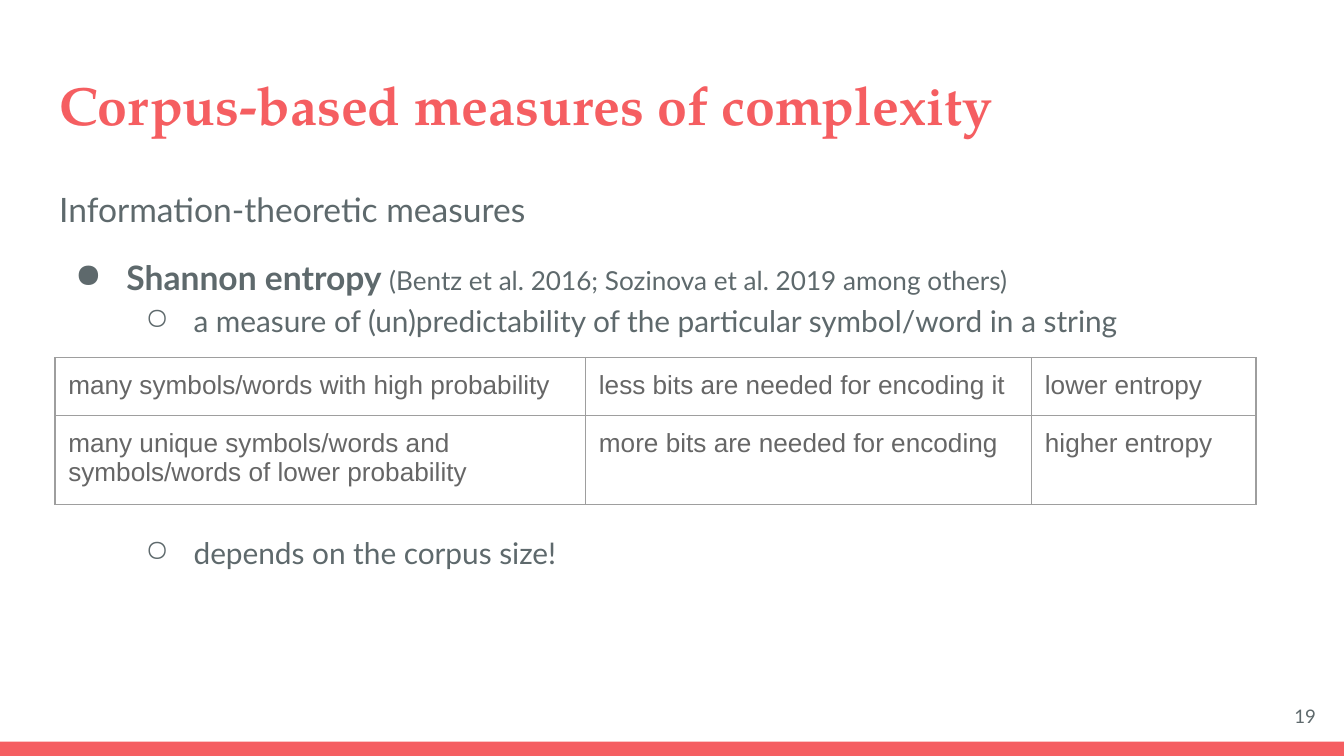
import pptx
import pptx.util
import pptx.dml.color
import pptx.enum.shapes
import pptx.enum.text
import pptx.oxml
import pptx.oxml.ns
from lxml import etree
from pptx.util import Cm, Pt

COLORS = {"accent": "F55E61", "text": "5E696C", "cell": "666666", "border": "9E9E9E"}
INSET = Cm(0.25)
ANCHOR = pptx.enum.text.MSO_ANCHOR

ROWS = [
    ("many symbols/words with high probability", "less bits are needed for encoding it", "lower entropy"),
    ("many unique symbols/words and symbols/words of lower probability",
     "more bits are needed for encoding", "higher entropy"),
]
COLUMN_SHARES = (3.95, 3.32, 1.67)
ROW_SHARES = (0.42, 0.63)


def rgb(name):
    return pptx.dml.color.RGBColor.from_string(COLORS[name])


def add_node(parent, tag, **attributes):
    return etree.SubElement(parent, pptx.oxml.ns.qn(tag), **attributes)


def add_span(para, text, size, font, color, bold=False):
    span = para.add_run()
    span.text = text
    span.font.size = Pt(size)
    span.font.name = font
    span.font.bold = bold
    span.font.color.rgb = rgb(color)


def add_frame(page, box, anchor):
    frame = page.shapes.add_textbox(*box).text_frame
    frame.word_wrap = True
    frame.vertical_anchor = anchor
    frame.margin_left = frame.margin_right = INSET
    frame.margin_top = frame.margin_bottom = INSET
    return frame


def set_bullet(para, symbol, margin, hanging):
    properties = para._p.get_or_add_pPr()
    properties.set("marL", str(margin))
    properties.set("indent", str(-hanging))
    color = add_node(properties, "a:buClr")
    add_node(color, "a:srgbClr", val=COLORS["text"])
    add_node(properties, "a:buChar", char=symbol)


def add_title(page, box):
    para = add_frame(page, box, ANCHOR.MIDDLE).paragraphs[0]
    add_span(para, "Corpus-based measures of complexity", 28.8, "TeX Gyre Pagella", "accent", True)


def add_body(page, box):
    frame = add_frame(page, box, ANCHOR.TOP)
    topic = ("●", Cm(1.27), Cm(0.97))
    detail = ("○", Cm(2.54), Cm(0.91))
    items = [
        (None, 0, [("Information-theoretic measures", 18, False)]),
        (topic, 12, [("Shannon entropy ", 18, True),
                     ("(Bentz et al. 2016; Sozinova et al. 2019 among others)", 14, False)]),
        (detail, 0, [("a measure of (un)predictability of the particular symbol/word in a string", 16, False)]),
        (detail, 102, [("depends on the corpus size!", 16, False)]),
    ]
    for index, (bullet, gap, spans) in enumerate(items):
        para = frame.add_paragraph() if index else frame.paragraphs[0]
        para.line_spacing = 1.15
        para.space_before = Pt(gap)
        if bullet:
            para.level = 1 if bullet is detail else 0
            set_bullet(para, *bullet)
        for text, size, bold in spans:
            add_span(para, text, size, "Lato", "text", bold)


def style_cell(cell, text):
    cell.margin_left = cell.margin_right = INSET
    cell.margin_top = cell.margin_bottom = INSET
    properties = cell._tc.get_or_add_tcPr()
    for side in ("L", "R", "T", "B"):
        line = add_node(properties, f"a:ln{side}", w=str(Pt(0.75)))
        fill = add_node(line, "a:solidFill")
        add_node(fill, "a:srgbClr", val=COLORS["border"])
    cell.fill.background()
    add_span(cell.text_frame.paragraphs[0], text, 14, "Arial", "cell")


def add_entropy_table(page, box):
    left, top, width, height = box
    table = page.shapes.add_table(len(ROWS), len(COLUMN_SHARES), left, top, width, height).table
    table.first_row = False
    table.horz_banding = False
    for column, share in zip(table.columns, COLUMN_SHARES):
        column.width = int(width * share / sum(COLUMN_SHARES))
    for row, share, texts in zip(table.rows, ROW_SHARES, ROWS):
        row.height = int(height * share / sum(ROW_SHARES))
        for cell, text in zip(row.cells, texts):
            style_cell(cell, text)


def add_footer_bar(page, box):
    bar = page.shapes.add_shape(pptx.enum.shapes.MSO_SHAPE.RECTANGLE, *box)
    bar.shadow.inherit = False
    bar.fill.solid()
    bar.fill.fore_color.rgb = rgb("accent")
    bar.line.fill.background()


def add_page_number(page, box):
    para = add_frame(page, box, ANCHOR.MIDDLE).paragraphs[0]
    para.alignment = pptx.enum.text.PP_ALIGN.RIGHT
    add_span(para, "19", 10, "Lato", "text")


def main():
    deck = pptx.Presentation()
    deck.slide_width = Cm(25.4)
    deck.slide_height = Cm(14.29)
    page = deck.slides.add_slide(deck.slide_layouts[6])
    add_footer_bar(page, (0, Cm(14.02), deck.slide_width, Cm(0.27)))
    add_title(page, (Cm(0.87), Cm(1.1), Cm(23.67), Cm(1.73)))
    add_body(page, (Cm(0.87), Cm(3.2), Cm(23.67), Cm(9.49)))
    add_entropy_table(page, (Cm(1.04), Cm(6.76), Cm(22.7), Cm(2.66)))
    add_page_number(page, (Cm(23.6), Cm(13), Cm(1.52), Cm(1.09)))
    deck.save("out.pptx")


if __name__ == "__main__":
    main()
